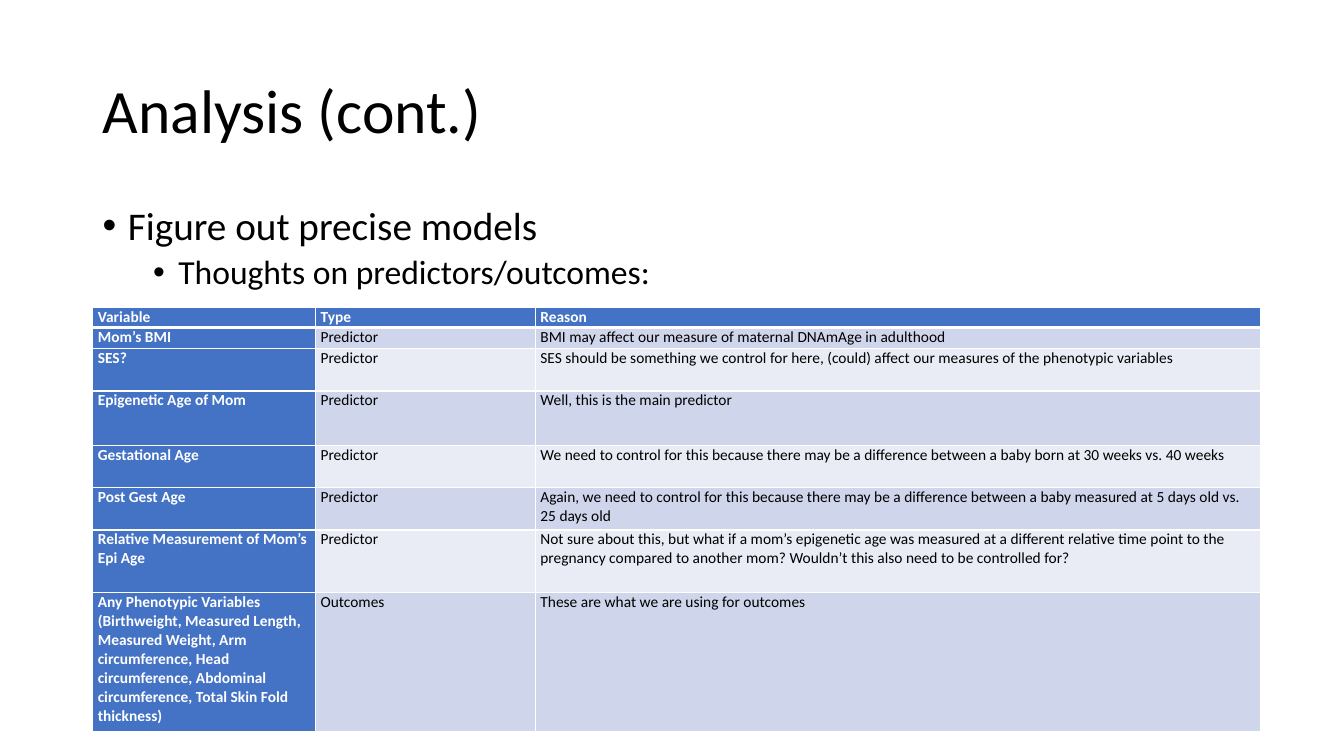
from lxml import etree
from pptx import Presentation
from pptx.dml.color import RGBColor
from pptx.enum.text import MSO_ANCHOR
from pptx.oxml.ns import qn
from pptx.util import Inches, Pt

FONT = "Calibri"
COLORS = {
    "text": "000000",
    "white": "FFFFFF",
    "accent": "4472C4",
    "dark_band": "CFD5EA",
    "light_band": "E9EBF5",
}

COLUMN_WIDTHS = [2.21, 2.18, 7.19]
ROW_HEIGHTS = [0.2, 0.21, 0.42, 0.54, 0.42, 0.42, 0.62, 1.38]
VARIABLES = [
    ("Variable", "Type", "Reason"),
    ("Mom’s BMI", "Predictor",
     "BMI may affect our measure of maternal DNAmAge in adulthood"),
    ("SES?", "Predictor",
     "SES should be something we control for here, (could) affect our measures "
     "of the phenotypic variables"),
    ("Epigenetic Age of Mom", "Predictor", "Well, this is the main predictor"),
    ("Gestational Age", "Predictor",
     "We need to control for this because there may be a difference between "
     "a baby born at 30 weeks vs. 40 weeks"),
    ("Post Gest Age", "Predictor",
     "Again, we need to control for this because there may be a difference "
     "between a baby measured at 5 days old vs. 25 days old"),
    ("Relative Measurement of Mom’s Epi Age", "Predictor",
     "Not sure about this, but what if a mom’s epigenetic age was measured at "
     "a different relative time point to the pregnancy compared to another mom? "
     "Wouldn’t this also need to be controlled for?"),
    ("Any Phenotypic Variables (Birthweight, Measured Length, Measured Weight, "
     "Arm circumference, Head circumference, Abdominal circumference, "
     "Total Skin Fold thickness)", "Outcomes",
     "These are what we are using for outcomes"),
]


def color(name):
    return RGBColor.from_string(COLORS[name])


def format_runs(paragraph, size, color_name="text", bold=False):
    for run in paragraph.runs:
        run.font.name = FONT
        run.font.size = Pt(size)
        run.font.bold = bold
        run.font.color.rgb = color(color_name)


def add_text_box(slide, left, top, width, height, text, anchor=MSO_ANCHOR.TOP):
    shape = slide.shapes.add_textbox(
        Inches(left), Inches(top), Inches(width), Inches(height))
    text_frame = shape.text_frame
    text_frame.word_wrap = True
    text_frame.vertical_anchor = anchor
    text_frame.text = text
    for paragraph in text_frame.paragraphs:
        paragraph.line_spacing = 0.9
    return text_frame


def format_bullet(paragraph, level, indent, size, space_before):
    paragraph.level = level
    paragraph.space_before = Pt(space_before)
    format_runs(paragraph, size)
    properties = paragraph._p.get_or_add_pPr()
    properties.set("marL", str(Inches(indent)))
    properties.set("indent", str(Inches(-0.25)))
    etree.SubElement(properties, qn("a:buFont")).set("typeface", "Arial")
    etree.SubElement(properties, qn("a:buChar")).set("char", "•")


def set_borders(cell, top, bottom):
    properties = cell._tc.get_or_add_tcPr()
    widths = {"a:lnL": 1, "a:lnR": 1, "a:lnT": top, "a:lnB": bottom}
    for position, (tag, width) in enumerate(widths.items()):
        line = etree.Element(qn(tag), w=str(Pt(width)))
        fill = etree.SubElement(line, qn("a:solidFill"))
        etree.SubElement(fill, qn("a:srgbClr")).set("val", COLORS["white"])
        properties.insert(position, line)


def fill_cell(cell, text, row, column):
    emphasized = row == 0 or column == 0
    band = "dark_band" if row % 2 else "light_band"
    cell.fill.solid()
    cell.fill.fore_color.rgb = color("accent" if emphasized else band)
    cell.margin_left = cell.margin_right = Inches(0.05)
    cell.margin_top = cell.margin_bottom = Inches(0)
    cell.text_frame.text = text
    paragraph = cell.text_frame.paragraphs[0]
    paragraph.space_after = Pt(10)
    format_runs(paragraph, 11, "white" if emphasized else "text", emphasized)
    # The rule under the header row is heavier
    set_borders(cell, top=3 if row == 1 else 1, bottom=3 if row == 0 else 1)


def add_variable_table(slide, left, top):
    table = slide.shapes.add_table(
        len(ROW_HEIGHTS), len(COLUMN_WIDTHS), Inches(left), Inches(top),
        Inches(sum(COLUMN_WIDTHS)), Inches(sum(ROW_HEIGHTS))).table
    for column, width in zip(table.columns, COLUMN_WIDTHS):
        column.width = Inches(width)
    for row, height in zip(table.rows, ROW_HEIGHTS):
        row.height = Inches(height)
    for row, texts in enumerate(VARIABLES):
        for column, text in enumerate(texts):
            fill_cell(table.cell(row, column), text, row, column)


def main():
    presentation = Presentation()
    presentation.slide_width = Inches(13.33)
    presentation.slide_height = Inches(7.5)
    slide = presentation.slides.add_slide(presentation.slide_layouts[6])

    # Title
    title = add_text_box(slide, 0.92, 0.4, 11.5, 1.45, "Analysis (cont.)",
                         MSO_ANCHOR.MIDDLE)
    format_runs(title.paragraphs[0], 44)

    # Bullets
    body = add_text_box(
        slide, 0.92, 2, 11.5, 4.76,
        "Figure out precise models\nThoughts on predictors/outcomes:")
    models, thoughts = body.paragraphs
    format_bullet(models, level=0, indent=0.25, size=28, space_before=10)
    format_bullet(thoughts, level=1, indent=0.75, size=24, space_before=5)

    # Predictors and outcomes
    add_variable_table(slide, 0.92, 3.05)

    presentation.save("out.pptx")


if __name__ == "__main__":
    main()
